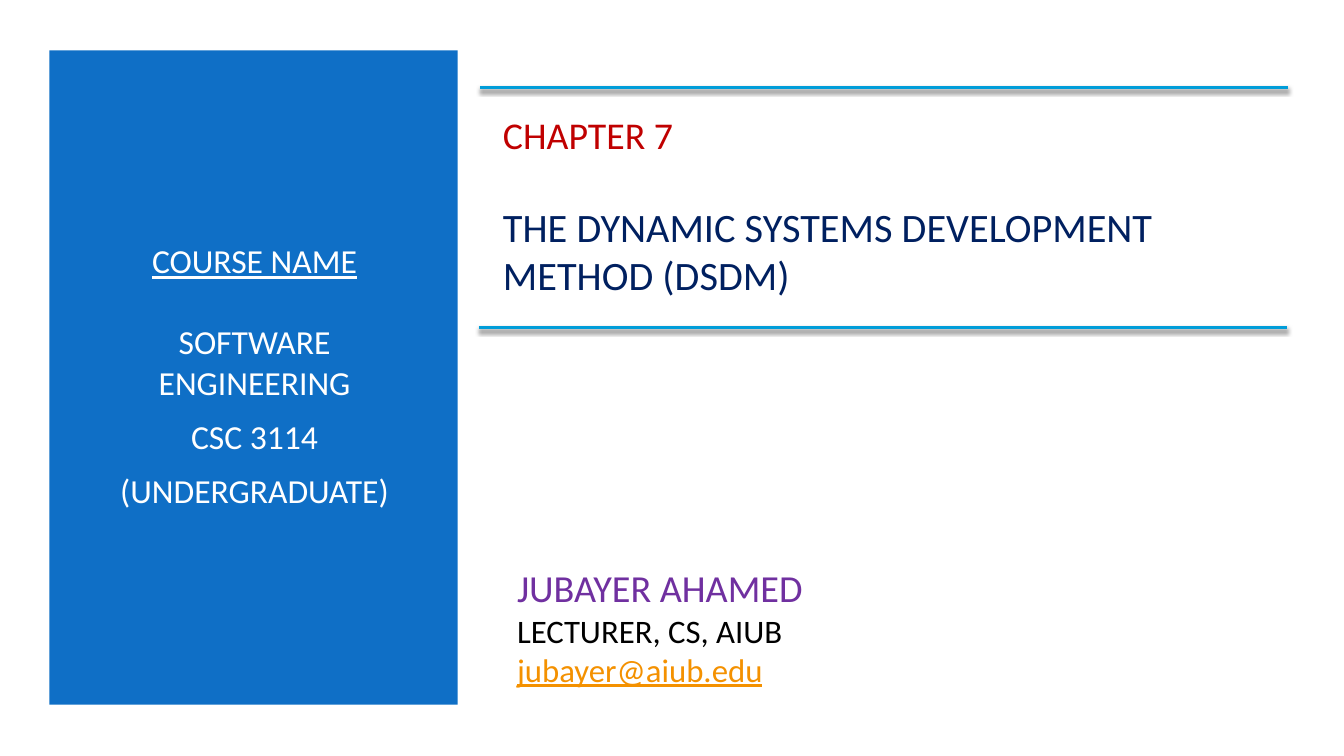
import pptx
import pptx.dml.color
import pptx.enum.shapes
import pptx.enum.text
import pptx.oxml
import pptx.util
from pptx.util import Inches

FONT = "Calibri"
WHITE = "FFFFFF"
BLUE = "0F6FC6"
CYAN = "009DD9"
RED = "C00000"
NAVY = "002060"
PURPLE = "7030A0"
BLACK = "000000"
ORANGE = "F49100"

SHADOW = (
    '<a:effectLst xmlns:a="http://schemas.openxmlformats.org/drawingml/2006/main">'
    '<a:outerShdw blurRad="38100" dist="25400" dir="5400000" rotWithShape="0">'
    '<a:srgbClr val="000000"><a:alpha val="55000"/></a:srgbClr>'
    "</a:outerShdw></a:effectLst>"
)


def colour(value):
    """Turn a hex string into a colour."""
    return pptx.dml.color.RGBColor.from_string(value)


def add_panel(page, left, top, width, height, fill):
    """Add a plain filled rectangle."""
    panel = page.shapes.add_shape(
        pptx.enum.shapes.MSO_SHAPE.RECTANGLE,
        Inches(left), Inches(top), Inches(width), Inches(height),
    )
    panel.shadow.inherit = False
    panel.fill.solid()
    panel.fill.fore_color.rgb = colour(fill)
    panel.line.fill.background()


def add_rule(page, left, top, width):
    """Add a horizontal line with a soft shadow."""
    rule = page.shapes.add_connector(
        pptx.enum.shapes.MSO_CONNECTOR.STRAIGHT,
        Inches(left), Inches(top), Inches(left + width), Inches(top),
    )
    rule.line.color.rgb = colour(CYAN)
    rule.line.width = pptx.util.Pt(2)
    rule._element.spPr.append(pptx.oxml.parse_xml(SHADOW))


def add_text(page, left, top, width, height, lines, centred=False):
    """Add a text box of (text, size, colour, underline, space after) lines."""
    box = page.shapes.add_textbox(
        Inches(left), Inches(top), Inches(width), Inches(height)
    )
    frame = box.text_frame
    frame.word_wrap = True
    frame.vertical_anchor = pptx.enum.text.MSO_ANCHOR.MIDDLE
    frame.text = "\n".join(line[0] for line in lines)
    align = pptx.enum.text.PP_ALIGN
    for para, (_, size, hue, underline, after) in zip(frame.paragraphs, lines):
        para.alignment = align.CENTER if centred else align.LEFT
        para.space_after = pptx.util.Pt(after)
        for span in para.runs:
            span.font.name = FONT
            span.font.size = pptx.util.Pt(size)
            span.font.color.rgb = colour(hue)
            span.font.underline = underline


def main():
    """Build the chapter title slide."""
    deck = pptx.Presentation()
    deck.slide_width = Inches(13.33)
    deck.slide_height = Inches(7.5)
    page = deck.slides.add_slide(deck.slide_layouts[6])

    add_panel(page, 0.49, 0.5, 4.05, 6.49, BLUE)
    add_text(page, 0.84, 1.1, 3.37, 5.25, [
        ("COURSE NAME", 24, WHITE, True, 29),
        ("SOFTWARE ENGINEERING", 24, WHITE, False, 10),
        ("CSC 3114", 24, WHITE, False, 10),
        ("(UNDERGRADUATE)", 24, WHITE, False, 0),
    ], centred=True)
    add_text(page, 4.89, 1.1, 7.85, 1.87, [
        ("CHAPTER 7", 27, RED, False, 32),
        ("THE DYNAMIC SYSTEMS DEVELOPMENT METHOD (DSDM)", 28.8, NAVY, False, 0),
    ])
    for left, top in ((4.76, 0.87), (4.75, 3.25)):
        add_rule(page, left, top, 8.01)
    add_text(page, 5.03, 5.44, 6.66, 1.56, [
        ("JUBAYER AHAMED", 27.3, PURPLE, False, 0),
        ("LECTURER, CS, AIUB", 23.4, BLACK, False, 0),
        ("jubayer@aiub.edu", 23.4, ORANGE, True, 0),
    ])
    deck.save("out.pptx")


if __name__ == "__main__":
    main()
